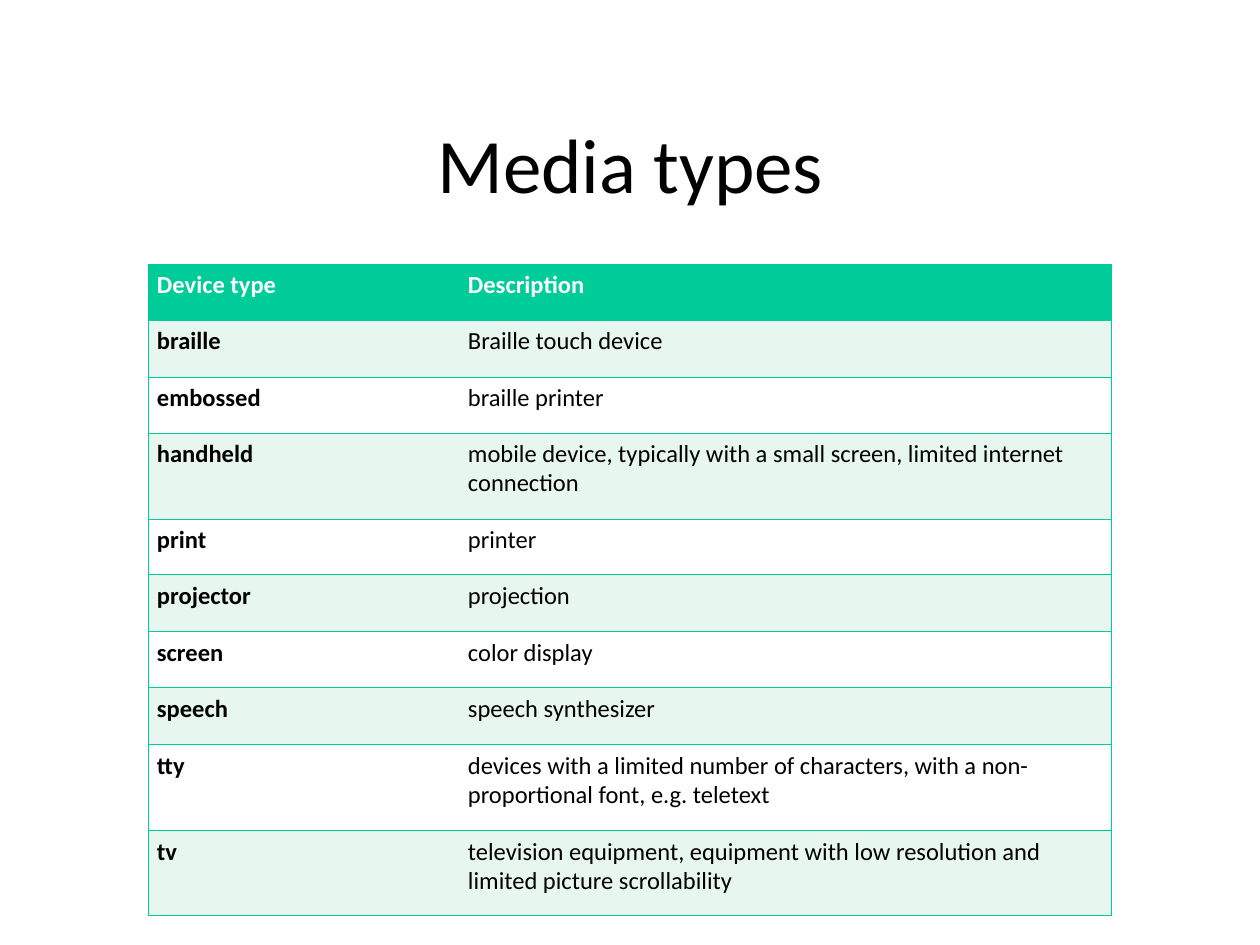
from dataclasses import dataclass
from itertools import pairwise

from lxml import etree
from pptx import Presentation
from pptx import util as u
from pptx.dml.color import RGBColor
from pptx.enum import text
from pptx.oxml.ns import qn


@dataclass(frozen=True)
class Theme:
    font: str = "Calibri"
    title_size: int = 44
    table_size: int = 14
    ink: str = "000000"
    paper: str = "FFFFFF"
    accent: str = "00CC99"
    band: str = "E7F6EF"
    border_width: float = 0.45


THEME = Theme()
PX_PER_INCH = 126
TABLE_LEFT = 148
COLUMN_WIDTHS = (311, 652)
ROW_EDGES = (264, 320, 377, 433, 519, 575, 632, 688, 745, 831, 916)
MEDIA_TYPES = (
    ("Device type", "Description"),
    ("braille", "Braille touch device"),
    ("embossed", "braille printer"),
    ("handheld", "mobile device, typically with a small screen, limited internet connection"),
    ("print", "printer"),
    ("projector", "projection"),
    ("screen", "color display"),
    ("speech", "speech synthesizer"),
    ("tty", "devices with a limited number of characters, with a non-proportional font, e.g. teletext"),
    ("tv", "television equipment, equipment with low resolution and limited picture scrollability"),
)


def px(length):
    return u.Inches(length / PX_PER_INCH)


def write(text_frame, content, size, color, bold=False, align=text.PP_ALIGN.LEFT):
    text_frame.text = content
    text_frame.word_wrap = True
    paragraph = text_frame.paragraphs[0]
    paragraph.alignment = align
    font = paragraph.runs[0].font
    font.name = THEME.font
    font.size = u.Pt(size)
    font.bold = bold
    font.color.rgb = RGBColor.from_string(color)


def add_title(slide, content):
    box = slide.shapes.add_textbox(px(95), px(84), px(1071), px(158))
    write(box.text_frame, content, THEME.title_size, THEME.ink, align=text.PP_ALIGN.CENTER)
    box.text_frame.vertical_anchor = text.MSO_ANCHOR.MIDDLE


def set_borders(cell, visible_sides):
    properties = cell._tc.get_or_add_tcPr()
    for index, side in enumerate("LRTB"):
        line = etree.Element(qn(f"a:ln{side}"), w=str(u.Pt(THEME.border_width)))
        if side in visible_sides:
            fill = etree.SubElement(line, qn("a:solidFill"))
            etree.SubElement(fill, qn("a:srgbClr"), val=THEME.accent)
        else:
            etree.SubElement(line, qn("a:noFill"))
        properties.insert(index, line)


def format_cell(cell, content, row, column):
    is_header = row == 0
    fill_color = THEME.accent if is_header else THEME.band if row % 2 else THEME.paper
    cell.fill.solid()
    cell.fill.fore_color.rgb = RGBColor.from_string(fill_color)
    cell.margin_left = cell.margin_right = px(9)
    cell.margin_top = cell.margin_bottom = px(6)
    write(
        cell.text_frame,
        content,
        THEME.table_size,
        THEME.paper if is_header else THEME.ink,
        bold=is_header or column == 0,
        align=text.PP_ALIGN.JUSTIFY if row < 2 else text.PP_ALIGN.LEFT,
    )
    set_borders(cell, "LTB" if column == 0 else "RTB")


def add_media_table(slide):
    table = slide.shapes.add_table(
        len(MEDIA_TYPES), len(COLUMN_WIDTHS),
        px(TABLE_LEFT), px(ROW_EDGES[0]),
        px(sum(COLUMN_WIDTHS)), px(ROW_EDGES[-1] - ROW_EDGES[0]),
    ).table
    for column, width in zip(table.columns, COLUMN_WIDTHS):
        column.width = px(width)
    for row, (top, bottom) in zip(table.rows, pairwise(ROW_EDGES)):
        row.height = px(bottom - top)
    for row, contents in enumerate(MEDIA_TYPES):
        for column, content in enumerate(contents):
            format_cell(table.cell(row, column), content, row, column)


def main():
    presentation = Presentation()
    presentation.slide_width = px(1260)
    presentation.slide_height = px(945)
    slide = presentation.slides.add_slide(presentation.slide_layouts[6])
    add_title(slide, "Media types")
    add_media_table(slide)
    presentation.save("out.pptx")


if __name__ == "__main__":
    main()
